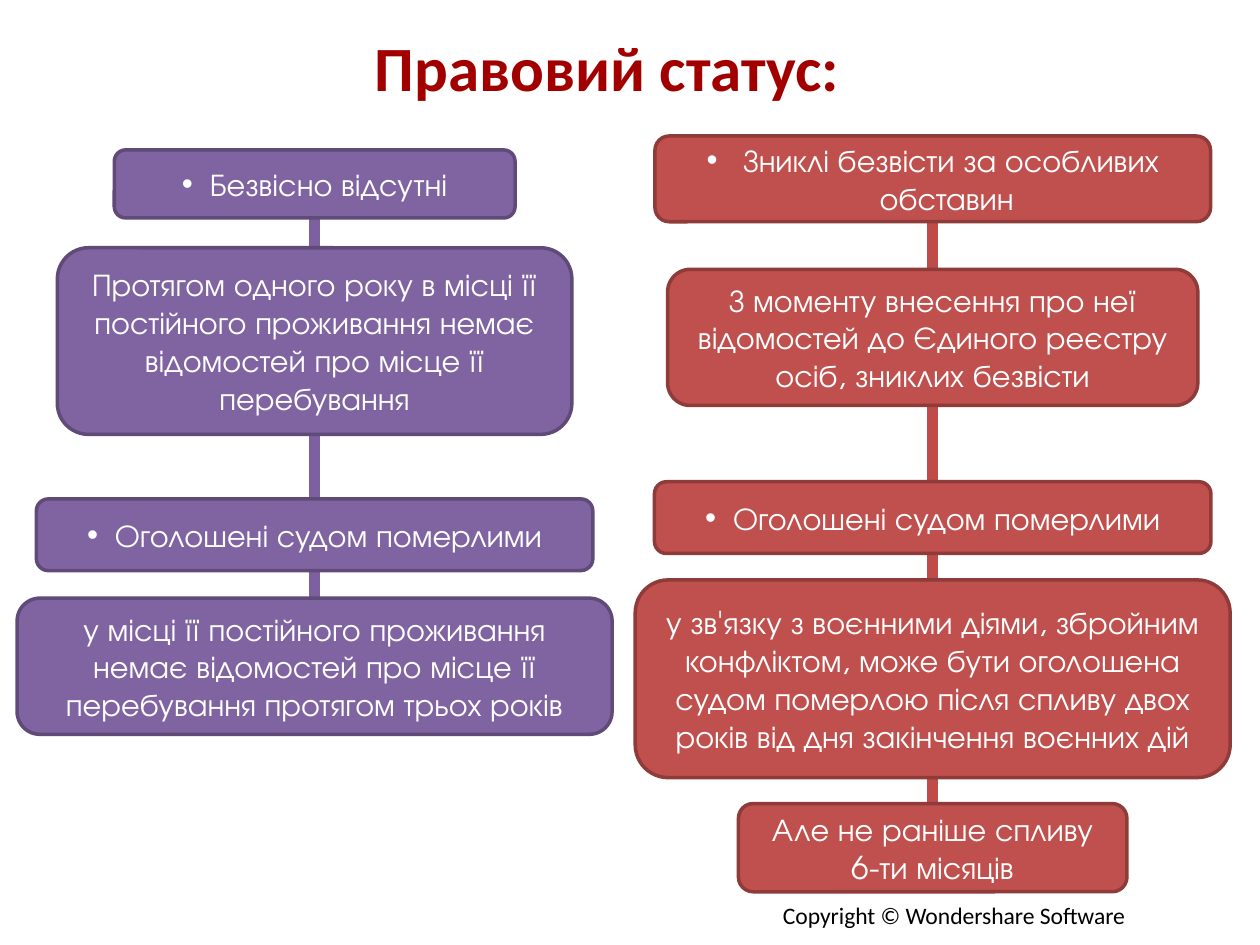
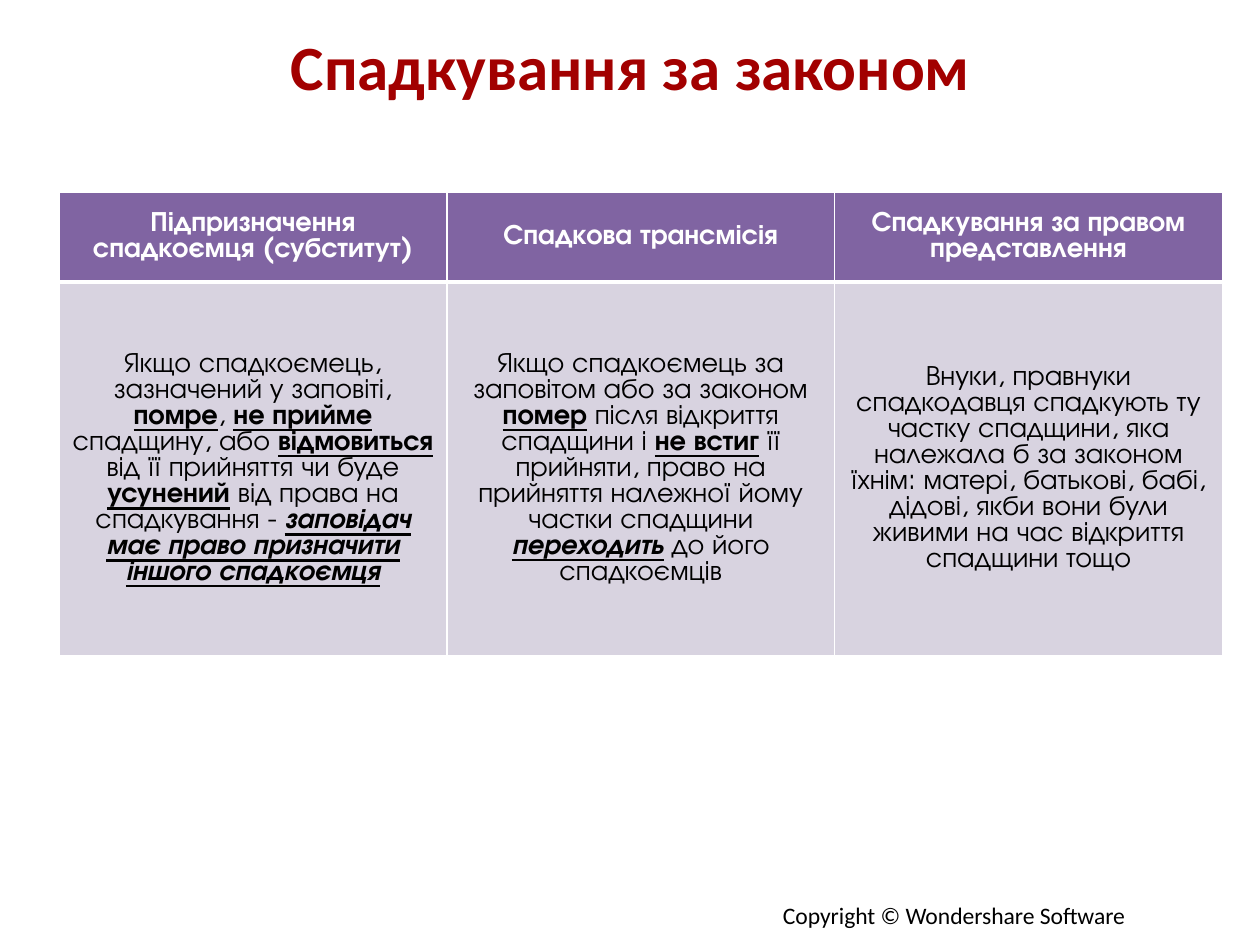
import pptx
import pptx.dml.color
import pptx.enum.shapes
import pptx.enum.text
import pptx.oxml
import pptx.oxml.ns
import pptx.util

Pt = pptx.util.Pt
ALIGN = pptx.enum.text.PP_ALIGN
MIDDLE = pptx.enum.text.MSO_ANCHOR.MIDDLE
SHAPES = pptx.enum.shapes.MSO_SHAPE
NAMESPACE = pptx.oxml.ns.nsdecls("a")

PURPLE, PURPLE_EDGE, PURPLE_LINE, PURPLE_PALE = "8064A2", "5F4A78", "7D60A0", "D8D3E0"
RED, RED_EDGE, RED_LINE = "C0504D", "8E3B39", "BF4C48"
WHITE, BLACK, TITLE_RED = "FFFFFF", "000000", "A20000"
BODY_FONT, TITLE_FONT = "TeX Gyre Adventor", "Calibri"

TITLE = {"name": TITLE_FONT, "size": Pt(36), "bold": True}
FOOTER = {"name": TITLE_FONT, "size": Pt(13.5)}
STEP = {"name": BODY_FONT, "size": Pt(18)}
HEADER_CELL = {"name": BODY_FONT, "size": Pt(16), "bold": True}
BODY_CELL = {"name": BODY_FONT, "size": Pt(16), "bold": False}
STRONG = {"bold": True, "underline": True}
STRONG_ITALIC = {"bold": True, "italic": True, "underline": True}


def colour(target, value):
    if hasattr(target, "solid"):
        target.solid()
        target = target.fore_color
    else:
        target = target.color
    target.rgb = pptx.dml.color.RGBColor.from_string(value)


def write(frame, spans, text_format, text_colour, align=ALIGN.CENTER, wrap=True):
    frame.word_wrap = wrap
    frame.vertical_anchor = MIDDLE
    para = frame.paragraphs[0]
    para.alignment = align
    for text, emphasis in spans:
        span = para.add_run()
        span.text = text
        for name, value in {**text_format, **emphasis}.items():
            setattr(span.font, name, value)
        colour(span.font, text_colour)
    return para


deck = pptx.Presentation()
deck.slide_width, deck.slide_height = Pt(720), Pt(540)

pages = []
for title, left, top, width in [
    ("Правовий статус:", 107.3, 13.3, 479.5),
    ("Спадкування за законом", 85.7, 12.8, 549.4),
]:
    page = deck.slides.add_slide(deck.slide_layouts[6])
    box = page.shapes.add_textbox(Pt(440.3), Pt(510.6), Pt(214), Pt(24))
    write(box.text_frame, [("Copyright © Wondershare Software", {})], FOOTER, BLACK, ALIGN.LEFT, False)
    box = page.shapes.add_textbox(Pt(left), Pt(top), Pt(width), Pt(49))
    write(box.text_frame, [(title, {})], TITLE, TITLE_RED)
    pages.append(page)
status_page, inheritance_page = pages

columns = [
    (179.8, 124.6, 397.4, PURPLE, PURPLE_EDGE, PURPLE_LINE, [
        (85.7, 229, 38.9, True, "Безвісно відсутні"),
        (141.6, 294, 106.6, False,
         "Протягом одного року в місці її постійного проживання немає відомостей про місце її перебування"),
        (285.1, 318, 41, True, "Оголошені судом померлими"),
        (341.8, 340, 77.8, False,
         "у місці її постійного проживання немає відомостей про місце її перебування протягом трьох років"),
    ]),
    (533, 105.1, 484.6, RED, RED_EDGE, RED_LINE, [
        (77.7, 317.5, 49, True, " Зниклі безвісти за особливих обставин"),
        (153.9, 303, 77.8, False,
         "З моменту внесення про неї відомостей до Єдиного реєстру осіб, зниклих безвісти"),
        (275.3, 318, 41, True, "Оголошені судом померлими"),
        (331.4, 340, 113, False,
         "у зв'язку з воєнними діями, збройним конфліктом, може бути оголошена судом померлою "
         "після спливу двох років від дня закінчення воєнних дій"),
        (459.2, 222, 50.4, False, "Але не раніше спливу 6-ти місяців"),
    ]),
]
for center, line_top, line_bottom, fill, edge, line_colour, steps in columns:
    line = status_page.shapes.add_connector(
        pptx.enum.shapes.MSO_CONNECTOR.STRAIGHT, Pt(center), Pt(line_top), Pt(center), Pt(line_bottom))
    line.line.width = Pt(6)
    colour(line.line, line_colour)
    line._element.spPr.append(pptx.oxml.parse_xml(f"<a:effectLst {NAMESPACE}/>"))
    for top, width, height, bulleted, text in steps:
        box = status_page.shapes.add_shape(
            SHAPES.ROUNDED_RECTANGLE, Pt(center - width / 2), Pt(top), Pt(width), Pt(height))
        box.shadow.inherit = False
        colour(box.fill, fill)
        colour(box.line, edge)
        box.line.width = Pt(2)
        para = write(box.text_frame, [(text, {})], STEP, WHITE)
        if bulleted:
            properties = para._p.get_or_add_pPr()
            properties.set("marL", str(Pt(16)))
            properties.set("indent", str(-Pt(16)))
            for bullet in ('buFont {} typeface="Arial"', 'buChar {} char="•"'):
                properties.append(pptx.oxml.parse_xml(f"<a:{bullet.format(NAMESPACE)}/>"))

headers = ["Підпризначення спадкоємця (субститут)", "Спадкова трансмісія",
           "Спадкування за правом представлення"]
definitions = [
    [("Якщо спадкоємець, зазначений у заповіті, ", {}), ("помре", STRONG), (", ", {}),
     ("не прийме ", STRONG), ("спадщину, або ", {}), ("відмовиться", STRONG),
     (" від її прийняття чи буде ", {}), ("усунений", STRONG), (" від права на спадкування - ", {}),
     ("заповідач має право призначити іншого спадкоємця", STRONG_ITALIC)],
    [("Якщо спадкоємець за заповітом або за законом ", {}), ("помер", STRONG),
     (" після відкриття спадщини і ", {}), ("не встиг", STRONG),
     (" її прийняти, право на прийняття належної йому частки спадщини ", {}),
     ("переходить", STRONG_ITALIC), (" до його спадкоємців", {})],
    [("Внуки, правнуки спадкодавця спадкують ту частку спадщини, яка належала б за законом їхнім: "
      "матері, батькові, бабі, дідові, якби вони були живими на час відкриття спадщини тощо", {})],
]
table = inheritance_page.shapes.add_table(2, 3, Pt(33.8), Pt(110), Pt(664.8), Pt(264.9)).table
for column in table.columns:
    column.width = Pt(221.6)
rows = [
    (51.1, [[(header, {})] for header in headers], HEADER_CELL, WHITE, PURPLE, {"L": 1, "R": 1, "T": 1, "B": 3}),
    (213.8, definitions, BODY_CELL, BLACK, PURPLE_PALE, {"L": 1, "R": 1, "T": 3, "B": 1}),
]
for row_index, (height, contents, text_format, text_colour, fill, borders) in enumerate(rows):
    table.rows[row_index].height = Pt(height)
    for column_index, spans in enumerate(contents):
        cell = table.cell(row_index, column_index)
        colour(cell.fill, fill)
        cell.vertical_anchor = MIDDLE
        write(cell.text_frame, spans, text_format, text_colour)
        properties = cell._tc.get_or_add_tcPr()
        for position, (side, width) in enumerate(borders.items()):
            properties.insert(position, pptx.oxml.parse_xml(
                f'<a:ln{side} {NAMESPACE} w="{Pt(width)}"><a:solidFill>'
                f'<a:srgbClr val="{WHITE}"/></a:solidFill></a:ln{side}>'))

deck.save("out.pptx")
